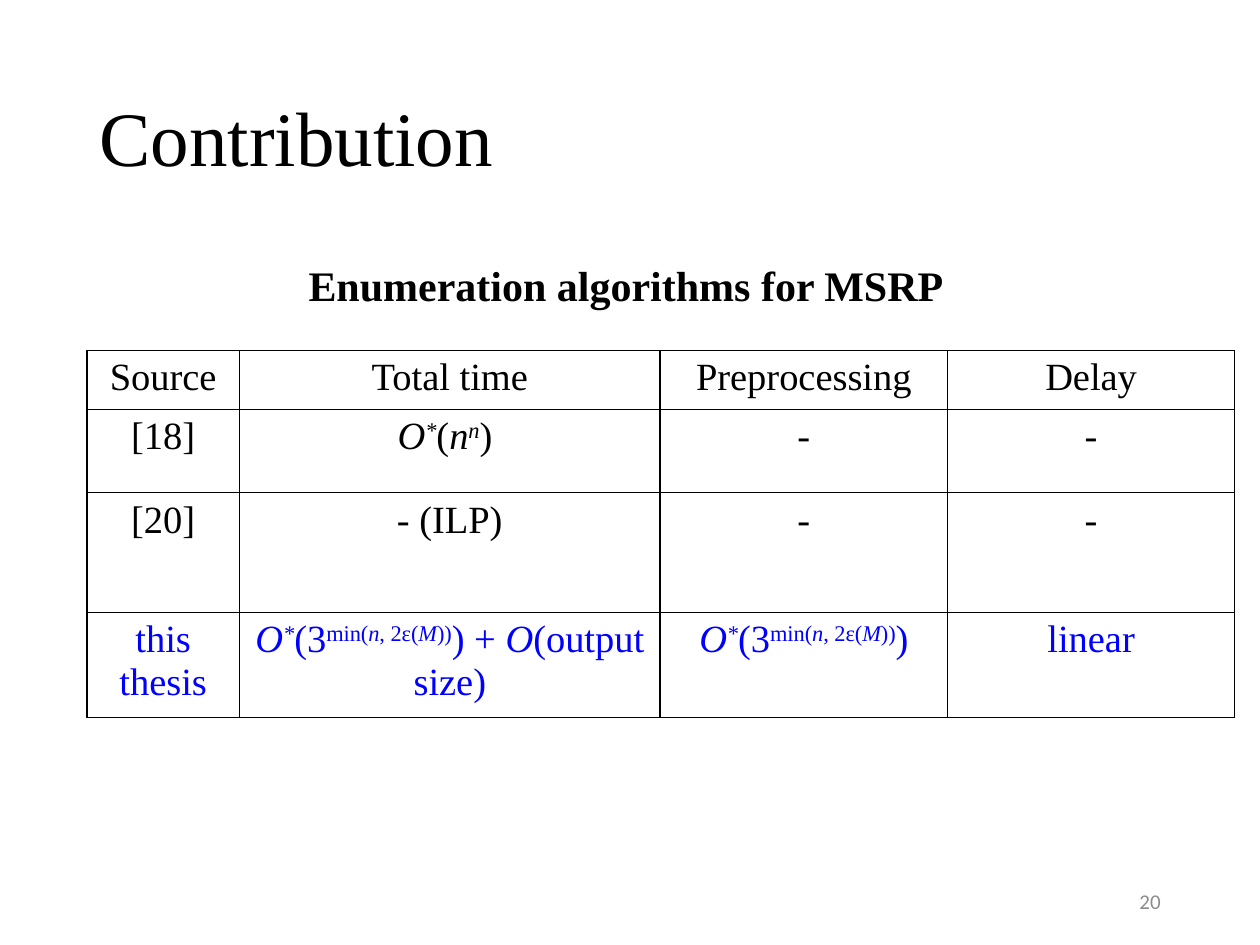
from dataclasses import dataclass

import pptx
import pptx.dml.color
import pptx.enum.text
import pptx.oxml
import pptx.oxml.ns
import pptx.util
from pptx.util import Inches

COLORS = {"black": "000000", "white": "FFFFFF", "blue": "0000FF", "gray": "8C8C8C"}
SERIF = "Times New Roman"
ALIGN = pptx.enum.text.PP_ALIGN
ANCHOR = pptx.enum.text.MSO_ANCHOR


@dataclass(frozen=True)
class Piece:
    """A stretch of text, possibly italic or raised."""
    text: str
    italic: bool = False
    raised: bool = False


@dataclass(frozen=True)
class Style:
    """Font settings shared by a whole paragraph."""
    size: float
    color: str = "black"
    name: str = SERIF
    bold: bool = False


@dataclass(frozen=True)
class Entry:
    """One row of the comparison table."""
    cells: tuple
    height: float
    color: str = "black"


def rgb(color: str) -> pptx.dml.color.RGBColor:
    """Look up a named colour."""
    return pptx.dml.color.RGBColor.from_string(COLORS[color])


def write(frame, pieces, style: Style, frame_format: dict, paragraph_format: dict) -> None:
    """Fill a text frame with one formatted paragraph."""
    for key, value in frame_format.items():
        setattr(frame, key, value)
    paragraph = frame.paragraphs[0]
    for key, value in paragraph_format.items():
        setattr(paragraph, key, value)
    for piece in pieces:
        run = paragraph.add_run()
        run.text = piece.text
        font_format = {"name": style.name, "size": pptx.util.Pt(style.size),
                       "bold": style.bold, "italic": piece.italic}
        for key, value in font_format.items():
            setattr(run.font, key, value)
        run.font.color.rgb = rgb(style.color)
        if piece.raised:
            run._r.get_or_add_rPr().set("baseline", "30000")


def add_borders(cell) -> None:
    """Draw a thin black line on every side of a cell."""
    properties = cell._tc.get_or_add_tcPr()
    for side in ("lnL", "lnR", "lnT", "lnB"):
        properties.append(pptx.oxml.parse_xml(
            f'<a:{side} {pptx.oxml.ns.nsdecls("a")} w="12700"><a:solidFill>'
            f'<a:srgbClr val="{COLORS["black"]}"/></a:solidFill></a:{side}>'))


def add_comparison(slide, entries, widths) -> None:
    """Add the table of algorithms."""
    table = slide.shapes.add_table(
        len(entries), len(widths), Inches(0.69), Inches(2.78),
        Inches(sum(widths)), Inches(sum(entry.height for entry in entries))).table
    for key in ("first_row", "horz_banding"):
        setattr(table, key, False)
    for column, width in zip(table.columns, widths):
        column.width = Inches(width)
    for row, entry in zip(table.rows, entries):
        row.height = Inches(entry.height)
        for cell, content in zip(row.cells, entry.cells):
            pieces = (Piece(content),) if isinstance(content, str) else content
            write(cell.text_frame, pieces, Style(22, entry.color), {},
                  {"alignment": ALIGN.CENTER})
            add_borders(cell)
            cell.fill.solid()
            cell.fill.fore_color.rgb = rgb("white")


BIG_O_STAR = (Piece("O", italic=True), Piece("*", italic=True, raised=True))
EXPONENTIAL = BIG_O_STAR + (
    Piece("(3"), Piece("min(", raised=True), Piece("n", True, True),
    Piece(", 2ε(", raised=True), Piece("M", True, True), Piece("))", raised=True))
N_TO_THE_N = BIG_O_STAR + (
    Piece("("), Piece("n", italic=True), Piece("n", True, True), Piece(") "))
OUTPUT_BOUND = EXPONENTIAL + (
    Piece(") + "), Piece("O", italic=True), Piece("(output size)"))

ENTRIES = (
    Entry(("Source", "Total time", "Preprocessing", "Delay"), 0.47),
    Entry(("[18]", N_TO_THE_N, "-", "-"), 0.66),
    Entry(("[20]", "- (ILP)", "-", "-"), 0.95),
    Entry(("this thesis", OUTPUT_BOUND, EXPONENTIAL + (Piece(")"),), "linear"),
          0.83, "blue"),
)


def main() -> None:
    """Build and save the slide."""
    deck = pptx.Presentation()
    deck.slide_width, deck.slide_height = Inches(10), Inches(7.5)
    slide = deck.slides.add_slide(deck.slide_layouts.get_by_name("Title Only"))

    heading = slide.shapes.title
    position = {"left": 0.69, "top": 0.4, "width": 8.62, "height": 1.45}
    for key, value in position.items():
        setattr(heading, key, Inches(value))
    write(heading.text_frame, (Piece("Contribution"),), Style(44),
          {"vertical_anchor": ANCHOR.MIDDLE, "word_wrap": True},
          {"alignment": ALIGN.LEFT, "line_spacing": 0.9})

    caption = slide.shapes.add_textbox(Inches(2.35), Inches(2.01), Inches(5.29), Inches(0.5))
    write(caption.text_frame, (Piece("Enumeration algorithms for MSRP"),),
          Style(24, bold=True), {"word_wrap": False}, {"alignment": ALIGN.LEFT})

    add_comparison(slide, ENTRIES, (1.21, 3.34, 2.28, 2.28))

    page_number = slide.shapes.add_textbox(Inches(7.06), Inches(6.95), Inches(2.25), Inches(0.4))
    write(page_number.text_frame, (Piece("20"),), Style(12, "gray", "Calibri"),
          {"vertical_anchor": ANCHOR.MIDDLE, "word_wrap": True},
          {"alignment": ALIGN.RIGHT})

    deck.save("out.pptx")


main()
